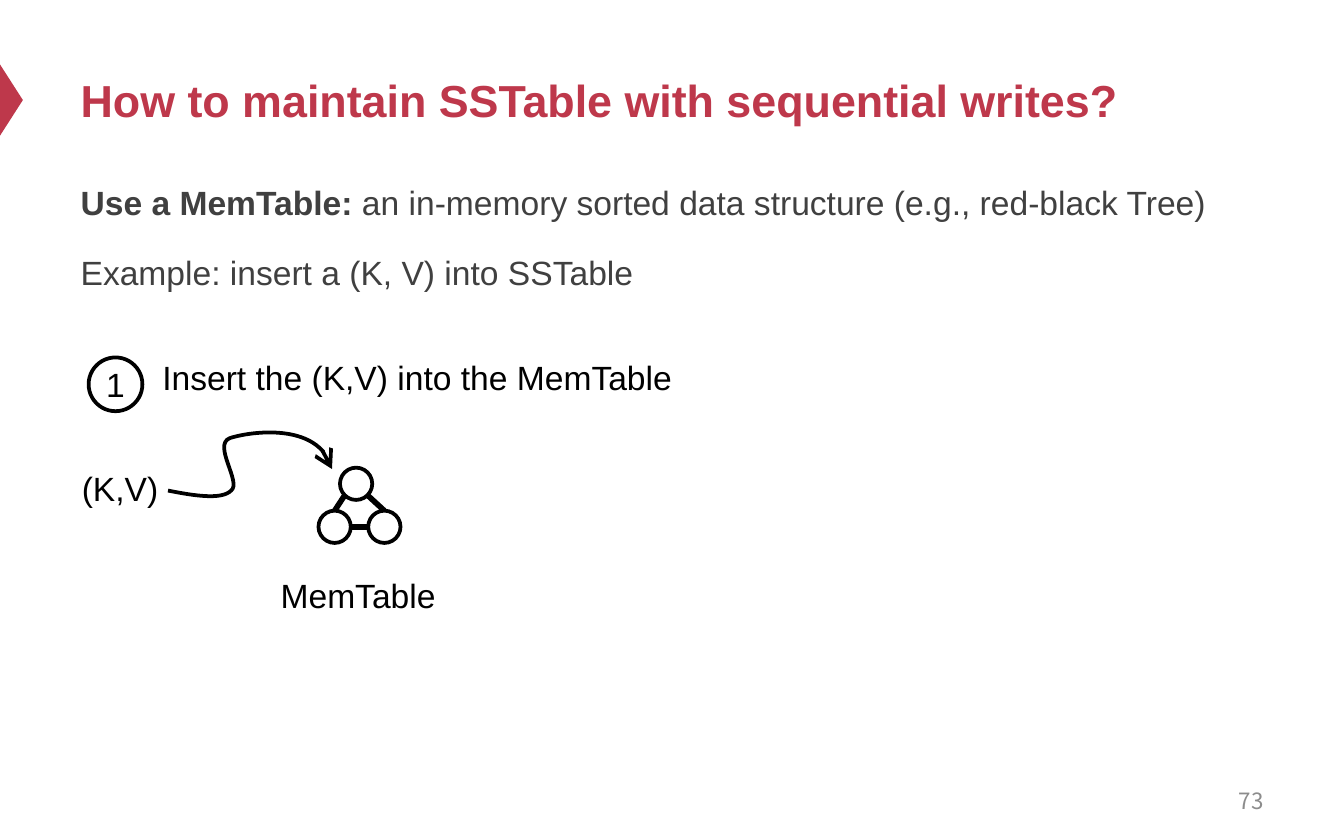
from math import cos, radians, sin

from lxml.etree import SubElement
from pptx import Presentation
from pptx.dml.color import RGBColor
from pptx.enum.shapes import MSO_CONNECTOR, MSO_SHAPE
from pptx.enum.text import MSO_ANCHOR, MSO_AUTO_SIZE, PP_ALIGN
from pptx.oxml.ns import qn
from pptx.util import Inches, Pt

THEME = {
    "font": "Arial", "number_font": "Noto Sans CJK SC",
    "accent": "BE384B", "body": "404040", "ink": "000000", "muted": "8C8C8C",
    "title_size": 24, "text_size": 18, "number_size": 12,
    "outline": 2, "edge": 3,
}

TITLE = "How to maintain SSTable with sequential writes?"
BODY = [
    [("Use a MemTable: ", True),
     ("an in-memory sorted data structure (e.g., red-black Tree)", False)],
    [("Example: insert a (K, V) into SSTable", False)],
]
STEP_NUMBER = "1"
PAGE_NUMBER = "73"
LABELS = [
    ("Insert the (K,V) into the MemTable", (1.11, 2.61, 4.1, 0.4)),
    ("MemTable", (1.99, 4.23, 1.37, 0.4)),
    ("(K,V)", (0.51, 3.43, 0.78, 0.4)),
]
STEP_CENTER, STEP_RADIUS = (0.86, 2.86), 0.2
NODE_RADIUS = 0.12
NODES = {"root": (2.65, 3.6), "left": (2.49, 3.92), "right": (2.86, 3.92)}
EDGES = [("left", 90, "root", 225), ("left", 0, "right", 180), ("root", 315, "right", 90)]
INSERT_CURVE = [
    (1.25, 3.65),
    (1.45, 3.69), (1.65, 3.72), (1.72, 3.65),
    (1.8, 3.59), (1.58, 3.31), (1.71, 3.26),
    (1.83, 3.22), (2.38, 3.13), (2.47, 3.49),
]


def color(name):
    return RGBColor.from_string(THEME[name])


def place(shape, box):
    shape.left, shape.top, shape.width, shape.height = map(Inches, box)


def style(paragraph, size="text_size", ink="ink", font="font", bold=False):
    for run in paragraph.runs:
        run.font.name = THEME[font]
        run.font.size = Pt(THEME[size])
        run.font.color.rgb = color(ink)
        run.font.bold = bold


def add_label(slide, text, box):
    label = slide.shapes.add_textbox(*map(Inches, box))
    frame = label.text_frame
    frame.word_wrap = False
    frame.auto_size = MSO_AUTO_SIZE.SHAPE_TO_FIT_TEXT
    frame.text = text
    style(frame.paragraphs[0])


def add_circle(slide, center, radius):
    box = (center[0] - radius, center[1] - radius, 2 * radius, 2 * radius)
    circle = slide.shapes.add_shape(MSO_SHAPE.OVAL, *map(Inches, box))
    circle.shadow.inherit = False
    circle.fill.background()
    circle.line.color.rgb = color("ink")
    circle.line.width = Pt(THEME["outline"])
    return circle


def rim_point(node, angle):
    x, y = NODES[node]
    return (Inches(x + NODE_RADIUS * cos(radians(angle))),
            Inches(y - NODE_RADIUS * sin(radians(angle))))


def add_edge(slide, start, start_angle, end, end_angle):
    edge = slide.shapes.add_connector(
        MSO_CONNECTOR.STRAIGHT, *rim_point(start, start_angle), *rim_point(end, end_angle))
    edge.line.color.rgb = color("ink")
    edge.line.width = Pt(THEME["edge"])
    SubElement(edge._element.spPr, qn("a:effectLst"))


def add_curved_arrow(slide, points):
    start, *controls = [(Inches(x), Inches(y)) for x, y in points]
    builder = slide.shapes.build_freeform(*start)
    builder.add_line_segments(controls, close=False)
    curve = builder.convert_to_shape()
    curve.shadow.inherit = False
    curve.fill.background()
    curve.line.color.rgb = color("ink")
    curve.line.width = Pt(THEME["outline"])
    line = curve._element.spPr.find(qn("a:ln"))
    SubElement(line, qn("a:tailEnd"), type="arrow", w="lg", len="lg")
    outline = next(curve._element.iter(qn("a:path")))
    segments = outline.findall(qn("a:lnTo"))
    for index in range(0, len(segments), 3):
        bezier = SubElement(outline, qn("a:cubicBezTo"))
        for segment in segments[index:index + 3]:
            bezier.append(segment[0])
            outline.remove(segment)


def add_title(slide):
    title = slide.shapes.title
    place(title, (0.5, 0.25, 9, 0.98))
    frame = title.text_frame
    frame.text = TITLE
    frame.auto_size = MSO_AUTO_SIZE.NONE
    frame.vertical_anchor = MSO_ANCHOR.MIDDLE
    frame.paragraphs[0].alignment = PP_ALIGN.LEFT
    style(frame.paragraphs[0], "title_size", "accent", bold=True)


def add_body(slide):
    body = slide.placeholders[1]
    place(body, (0.5, 1.24, 9, 1.18))
    frame = body.text_frame
    frame.auto_size = MSO_AUTO_SIZE.NONE
    for index, runs in enumerate(BODY):
        paragraph = frame.add_paragraph() if index else frame.paragraphs[0]
        properties = paragraph._p.get_or_add_pPr()
        properties.set("marL", "0")
        properties.set("indent", "0")
        SubElement(properties, qn("a:buNone"))
        paragraph.line_spacing = 1.2
        paragraph.space_before = Pt(12 if index else 0)
        for text, _ in runs:
            paragraph.add_run().text = text
        style(paragraph, ink="body")
        for run, (_, bold) in zip(paragraph.runs, runs):
            run.font.bold = bold


def add_marker(slide):
    marker = slide.shapes.add_shape(
        MSO_SHAPE.ISOSCELES_TRIANGLE, *map(Inches, (-0.18, 0.66, 0.53, 0.17)))
    marker.rotation = 90
    marker.shadow.inherit = False
    marker.fill.solid()
    marker.fill.fore_color.rgb = color("accent")
    marker.line.fill.background()


def add_page_number(slide):
    frame = slide.shapes.add_textbox(*map(Inches, (7.17, 5.79, 2.33, 0.33))).text_frame
    frame.word_wrap = True
    frame.vertical_anchor = MSO_ANCHOR.MIDDLE
    frame.text = PAGE_NUMBER
    frame.paragraphs[0].alignment = PP_ALIGN.RIGHT
    style(frame.paragraphs[0], "number_size", "muted", "number_font")


def add_step_badge(slide):
    frame = add_circle(slide, STEP_CENTER, STEP_RADIUS).text_frame
    frame.margin_left = frame.margin_right = frame.margin_top = frame.margin_bottom = 0
    frame.word_wrap = False
    frame.vertical_anchor = MSO_ANCHOR.MIDDLE
    frame.text = STEP_NUMBER
    frame.paragraphs[0].alignment = PP_ALIGN.CENTER
    style(frame.paragraphs[0])


def main():
    presentation = Presentation()
    presentation.slide_width, presentation.slide_height = Inches(10), Inches(6.25)
    slide = presentation.slides.add_slide(presentation.slide_layouts[1])
    add_marker(slide)
    add_title(slide)
    add_body(slide)
    add_page_number(slide)
    add_step_badge(slide)
    for center in NODES.values():
        add_circle(slide, center, NODE_RADIUS)
    for edge in EDGES:
        add_edge(slide, *edge)
    for text, box in LABELS:
        add_label(slide, text, box)
    add_curved_arrow(slide, INSERT_CURVE)
    presentation.save("out.pptx")


if __name__ == "__main__":
    main()
